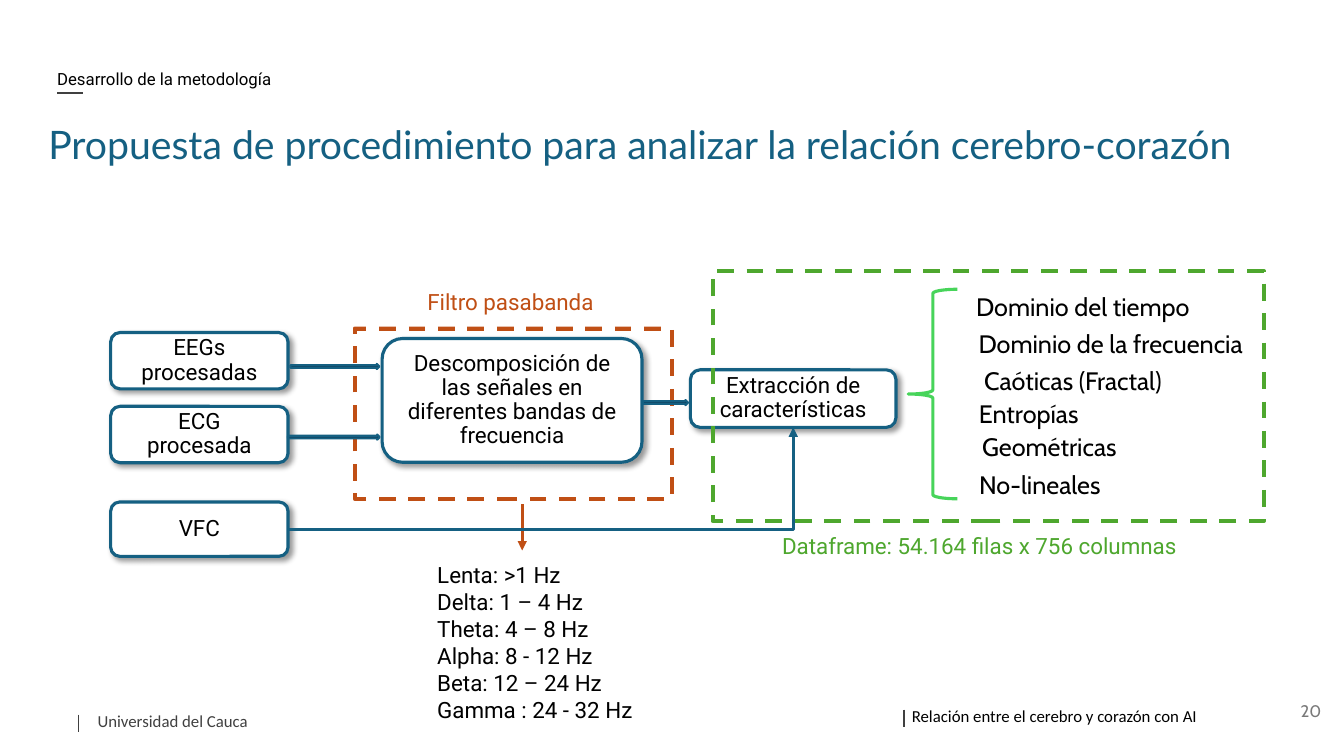
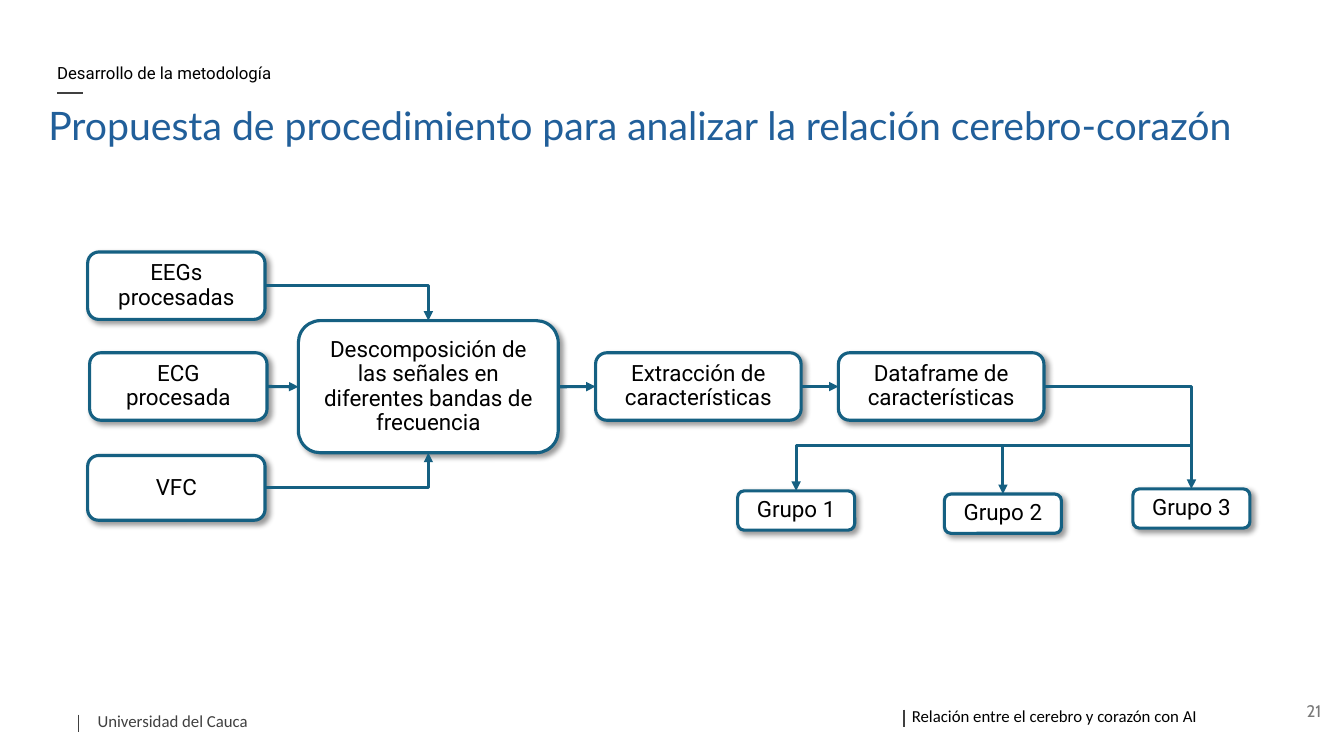
from dataclasses import dataclass

from lxml import etree
from pptx import Presentation
from pptx import util as u
from pptx.dml.color import RGBColor
from pptx.enum import dml, shapes, text
from pptx.oxml import parse_xml
from pptx.oxml.ns import nsdecls, qn

KIND = shapes.MSO_SHAPE
LINK = shapes.MSO_CONNECTOR
ALIGN = text.PP_ALIGN
MID = text.MSO_ANCHOR.MIDDLE
TOP, LEFT, BOTTOM, RIGHT = range(4)


@dataclass(frozen=True)
class Theme:
    ink: str = "000000"
    paper: str = "FFFFFF"
    teal: str = "156082"
    blue: str = "215F9A"
    navy: str = "0E2841"
    green: str = "4EA72E"
    lime: str = "47D45A"
    rust: str = "C04F15"
    gray: str = "404040"
    pale: str = "797979"
    head: str = "Lato"
    body: str = "Roboto"
    label: str = "Cabin"
    foot: str = "Calibri"
    big: int = 28
    mid: int = 18
    base: int = 16
    small: int = 12
    thin: float = 1
    edge: float = 2.25
    dash: float = 3


T = Theme()


@dataclass(frozen=True)
class Box:
    x: float
    y: float
    w: float
    h: float

    def sub(self, x, y, w, h):
        return Box(self.x + x, self.y + y, w, h)

    def pos(self, x, y):
        return self.x + x, self.y + y

    def cm(self):
        return [u.Cm(n) for n in (self.x, self.y, self.w, self.h)]


PAGE = Box(0, 0, 33.87, 19.05)


def rgb(tone):
    return RGBColor.from_string(tone)


def write(shape, lines, font=T.body, size=T.base, tone=T.ink,
          align=ALIGN.LEFT, anchor=None, space=None, pad=None):
    frame = shape.text_frame
    frame.word_wrap = True
    if anchor is not None:
        frame.vertical_anchor = anchor
    if pad is not None:
        frame.margin_left = frame.margin_right = u.Cm(pad)
        frame.margin_top = frame.margin_bottom = u.Cm(pad)
    frame.text = lines
    for para in frame.paragraphs:
        para.alignment = align
        if space:
            para.line_spacing = space
        para.font.name = font
        para.font.size = u.Pt(size)
        para.font.color.rgb = rgb(tone)


def label(slide, box, lines, **style):
    item = slide.shapes.add_textbox(*box.cm())
    write(item, lines, **style)


def draw(slide, box, kind, fill=None, line=None, width=T.edge, dash=False):
    item = slide.shapes.add_shape(kind, *box.cm())
    item.shadow.inherit = False
    if fill:
        item.fill.solid()
        item.fill.fore_color.rgb = rgb(fill)
    else:
        item.fill.background()
    if line:
        item.line.color.rgb = rgb(line)
        item.line.width = u.Pt(width)
        if dash:
            item.line.dash_style = dml.MSO_LINE.DASH
    else:
        item.line.fill.background()
    return item


def node(slide, box, lines, line=T.teal, tone=T.ink):
    item = draw(slide, box, KIND.ROUNDED_RECTANGLE, T.paper, line)
    write(item, lines, tone=tone, align=ALIGN.CENTER, anchor=MID,
          space=0.9, pad=0.38)
    if line:
        glow = item._element.spPr.find(qn("a:effectLst"))
        glow.append(parse_xml(
            f'<a:outerShdw {nsdecls("a")} blurRad="50800" dist="38100" '
            'dir="2700000" algn="tl" rotWithShape="0">'
            '<a:srgbClr val="000000"><a:alpha val="40000"/></a:srgbClr>'
            '</a:outerShdw>'))
    return item


def link(slide, start, end, tone=T.teal, width=T.edge, bent=False, tip=True):
    kind = LINK.ELBOW if bent else LINK.STRAIGHT
    item = slide.shapes.add_connector(kind, 0, 0, 0, 0)
    item.begin_x, item.begin_y = [u.Cm(n) for n in start]
    item.end_x, item.end_y = [u.Cm(n) for n in end]
    return dress(item, tone, width, bent, tip)


def dress(item, tone, width, bent, tip):
    item.line.color.rgb = rgb(tone)
    item.line.width = u.Pt(width)
    props = item._element.spPr
    if bent:
        props.find(qn("a:prstGeom")).set("prst", "bentConnector2")
    if tip:
        etree.SubElement(props.find(qn("a:ln")), qn("a:tailEnd"),
                         type="triangle")
    etree.SubElement(props, qn("a:effectLst"))
    return item


def join(slide, first, out, last, into, bent=False):
    item = link(slide, (0, 0), (0, 0), bent=bent)
    item.begin_connect(first, out)
    item.end_connect(last, into)


def header(slide, box, top, drop, tone):
    label(slide, box.sub(0.22, top, 11.99, 1.17),
          "Desarrollo de la metodología", size=T.small, anchor=MID, space=0.9)
    link(slide, box.pos(0.47, 2.34), box.pos(1.13, 2.34), T.gray, T.thin,
         tip=False)
    label(slide, box.sub(0, drop, 31.72, 1.45),
          "Propuesta de procedimiento para analizar la relación "
          "cerebro-corazón", font=T.head, size=T.big, tone=tone)


def footer(slide, box, count):
    for x, y, w, tone, words in (
            (0, 0.23, 6.71, T.gray, "Universidad del Cauca"),
            (20.8, 0.1, 7.62, T.ink,
             "Relación entre el cerebro y corazón con AI")):
        link(slide, box.pos(x, y), box.pos(x, y + 0.44), T.gray, T.thin,
             tip=False)
        gap = 0.2 if x else 0.48
        label(slide, box.sub(x + gap, y - 0.1, w, 0.56), words,
              font=T.foot, size=T.small, tone=tone, pad=0)
    label(slide, box.sub(23.95, -0.38, 7.62, 1.02), str(count),
          font=T.label, size=T.small, tone=T.pale, align=ALIGN.RIGHT,
          anchor=MID)


def inputs(slide, box, rows):
    names = "EEGs procesadas", "ECG procesada", "VFC"
    return [node(slide, box.sub(x, y, box.w, h), name)
            for name, (x, y, h) in zip(names, rows)]


def split(slide, box):
    return node(slide, box, "Descomposición de las señales en diferentes "
                            "bandas de frecuencia")


def bands(slide, box):
    split(slide, box.sub(1.17, 1.47, 6.55, 3.12))
    label(slide, box.sub(2.31, 6.96, 7.26, 4.37),
          "Lenta: >1 Hz\nDelta: 1 – 4 Hz\nTheta: 4 – 8 Hz\n"
          "Alpha: 8 - 12 Hz\nBeta: 12 – 24 Hz\nGamma : 24 - 32 Hz")
    draw(slide, box.sub(0.48, 1.22, 8, 4.29), KIND.RECTANGLE,
         line=T.rust, width=T.dash, dash=True)
    node(slide, box.sub(0, 0, box.w, 1.17), "Filtro pasabanda",
         line=None, tone=T.rust)
    link(slide, box.pos(4.7, 5.64), box.pos(4.7, 6.81), T.rust)


def traits(slide, box):
    draw(slide, box, KIND.RECTANGLE, line=T.green, width=T.dash, dash=True)
    for words, x, y, w in (
            ("Dominio del tiempo", 6.17, 0.33, 6.32),
            ("Dominio de la frecuencia", 6.22, 1.27, 7.62),
            ("Caóticas (Fractal)", 6.25, 2.21, 5.66),
            ("Entropías", 6.25, 3.02, 3.43),
            ("Geométricas", 6.3, 3.86, 4.37),
            ("No-lineales", 6.3, 4.83, 3.89)):
        label(slide, box.sub(x, y, w, 1.04), words, font=T.label,
              size=T.mid, align=ALIGN.CENTER, space=1.07)
    draw(slide, box.sub(4.93, 0.46, 1.24, 5.28), KIND.LEFT_BRACE,
         line=T.lime)
    label(slide, box.sub(1.5, 6.45, 11.89, 0.94),
          "Dataframe: 54.164 filas x 756 columnas", tone=T.green)


def detail(slide, box):
    rows = (0, 0, 1.42), (0, 1.86, 1.42), (0, 4.27, 1.37)
    heart = inputs(slide, box.sub(0, 1.55, 4.47, 5.64), rows)[-1]
    bands(slide, box.sub(5.67, 0.23, 8.81, 11.33))
    pick = node(slide, box.sub(14.61, 2.49, 5.18, 1.45),
                "Extracción de características")
    for x, y, w in ((4.53, 2.34, 2.24), (4.47, 4.12, 2.31),
                    (13.41, 3.25, 1.14)):
        draw(slide, box.sub(x, y, w, 0.13), KIND.RIGHT_ARROW,
             T.navy, T.teal, 1.5)
    join(slide, heart, RIGHT, pick, BOTTOM, bent=True)
    traits(slide, box.sub(15.17, 0, 13.89, 6.3))


def groups(slide, box, table):
    spots = (0, 1.14), (5.21, 1.22), (9.96, 1.09)
    cells = [node(slide, box.sub(x, y, 2.95, 0.99), f"Grupo {i}")
             for i, (x, y) in enumerate(spots, 1)]
    join(slide, table, RIGHT, cells[2], TOP, bent=True)
    for cell, x in ((cells[1], 11.43), (cells[0], 6.68)):
        item = link(slide, box.pos(x, 0), box.pos(0, 0), bent=True)
        item.end_connect(cell, TOP)


def flow(slide, box):
    rows = (0, 0, 1.7), (0.05, 2.54, 1.7), (0, 5.13, 1.63)
    brain, heart, rate = inputs(slide, box.sub(0, 0, 4.47, 6.76), rows)
    parts = split(slide, box.sub(5.31, 1.73, 6.55, 3.33))
    pick, table = [node(slide, box.sub(x, 2.54, 5.18, 1.7),
                        f"{name} de características")
                   for x, name in ((12.8, "Extracción"),
                                   (18.92, "Dataframe"))]
    join(slide, brain, RIGHT, parts, TOP, bent=True)
    join(slide, rate, RIGHT, parts, BOTTOM, bent=True)
    for first, last in ((heart, parts), (parts, pick), (pick, table)):
        join(slide, first, RIGHT, last, LEFT)
    groups(slide, box.sub(16.38, 4.88, 12.91, 2.21), table)


def main():
    deck = Presentation()
    deck.slide_width, deck.slide_height = PAGE.cm()[2:]
    for count, top, drop, tone, body, box in (
            (20, 1.42, 2.9, T.teal, detail, PAGE.sub(2.79, 6.83, 29.06, 11.56)),
            (21, 1.27, 2.44, T.blue, flow, PAGE.sub(2.21, 6.35, 29.29, 7.09))):
        slide = deck.slides.add_slide(deck.slide_layouts[6])
        header(slide, PAGE.sub(0.97, 0, 31.72, 4.35), top, drop, tone)
        footer(slide, PAGE.sub(1.98, 17.78, 31.57, 0.67), count)
        body(slide, box)
    deck.save("out.pptx")


if __name__ == "__main__":
    main()
